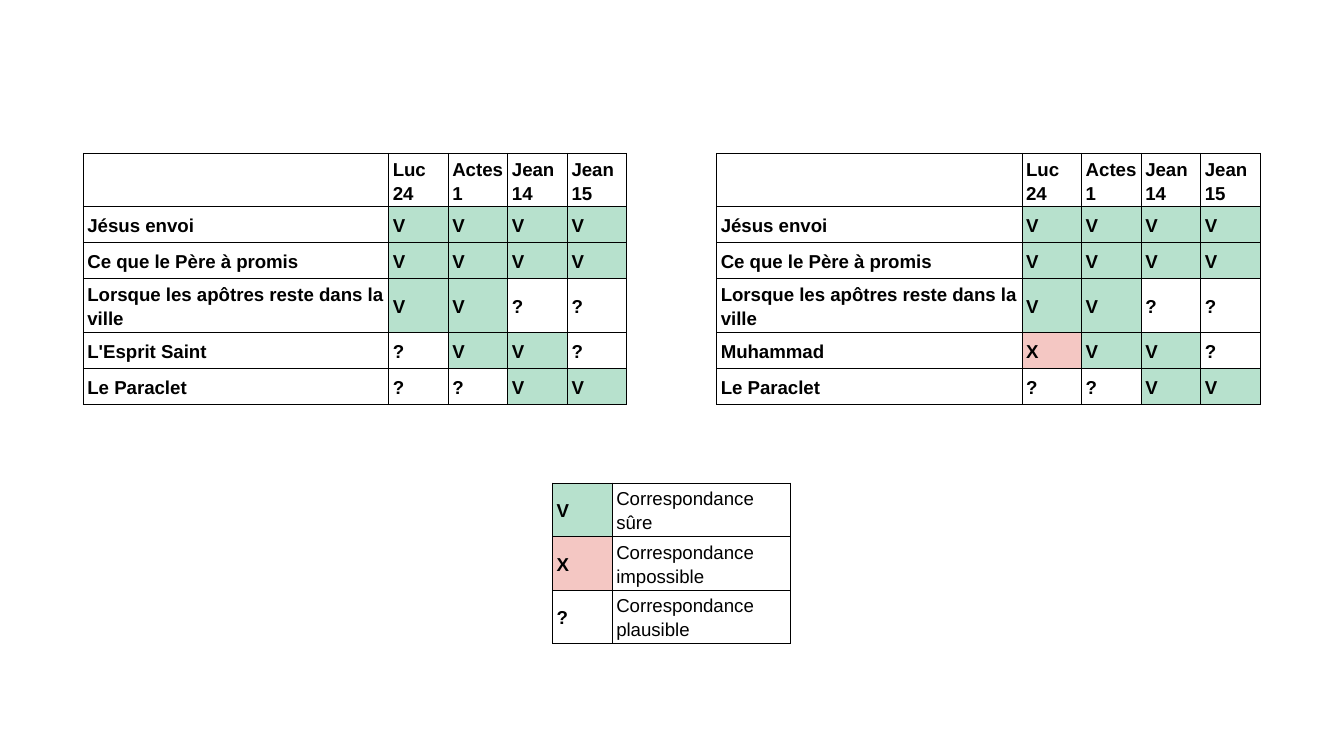
from lxml import etree
from pptx import Presentation
from pptx import util as u
from pptx.dml import color
from pptx.enum import text
from pptx.oxml import ns

FILLS = {"V": "B7E1CD", "X": "F4C7C3"}
HEADER = ["", "Luc 24", "Actes 1", "Jean 14", "Jean 15"]
COMMON = [
    ["Jésus envoi", *"VVVV"],
    ["Ce que le Père à promis", *"VVVV"],
    ["Lorsque les apôtres reste dans la ville", *"VV??"],
]
PARACLET = ["Le Paraclet", *"??VV"]
LEGEND = [
    ["V", "Correspondance sûre", "", ""],
    ["X", "Correspondance impossible", "", ""],
    ["?", "Correspondance plausible", "", ""],
]
MARK_W = 31.94
LABEL_W = 163.6
CELL = {
    "margin_left": u.Pt(2.25), "margin_right": u.Pt(2.25),
    "margin_top": u.Pt(1.5), "margin_bottom": u.Pt(1.5),
    "vertical_anchor": text.MSO_ANCHOR.MIDDLE,
}


def rgb(value):
    return color.RGBColor.from_string(value)


def add_grid(s, left, top, widths, heights, rows):
    frame = s.shapes.add_table(len(rows), len(widths), u.Pt(left), u.Pt(top),
                               u.Pt(sum(widths)), u.Pt(sum(heights)))
    tbl = frame.table
    tbl.first_row = tbl.horz_banding = False
    for col, width in zip(tbl.columns, widths):
        col.width = u.Pt(width)
    for row, height, values in zip(tbl.rows, heights, rows):
        row.height = u.Pt(height)
        for cell, value in zip(row.cells, values):
            for name, setting in CELL.items():
                setattr(cell, name, setting)
            tcPr = cell._tc.get_or_add_tcPr()
            for side in "LRTB":
                ln = etree.SubElement(tcPr, ns.qn("a:ln" + side), w=str(u.Pt(0.6)))
                fill = etree.SubElement(ln, ns.qn("a:solidFill"))
                etree.SubElement(fill, ns.qn("a:srgbClr"), val="000000")
            if value in FILLS:
                cell.fill.solid()
                cell.fill.fore_color.rgb = rgb(FILLS[value])
            else:
                cell.fill.background()
            if value:
                p = cell.text_frame.paragraphs[0]
                p.line_spacing = 1.15
                r = p.add_run()
                r.text = value
                font = {"name": "Arial", "size": u.Pt(10), "bold": True}
                for name, setting in font.items():
                    setattr(r.font, name, setting)
                r.font.color.rgb = rgb("000000")
    return tbl


prs = Presentation()
prs.slide_width, prs.slide_height = u.Pt(720), u.Pt(405)
s = prs.slides.add_slide(prs.slide_layouts[6])

legend = add_grid(s, 296, 258.8, [MARK_W] * 4, [19.3, 25.2, 25.2], LEGEND)
for i in range(len(LEGEND)):
    cell = legend.cell(i, 1)
    cell.merge(legend.cell(i, 3))
    cell.vertical_anchor = text.MSO_ANCHOR.BOTTOM
    cell.text_frame.paragraphs[0].runs[0].font.bold = False

comparisons = [
    (44.6, 25.2, ["L'Esprit Saint", *"?VV?"]),
    (383.9, 15.1, ["Muhammad", *"XVV?"]),
]
for left, header_h, candidate in comparisons:
    add_grid(s, left, 82.2, [LABEL_W] + [MARK_W] * 4, [header_h] + [19.3] * 5,
             [HEADER, *COMMON, candidate, PARACLET])

prs.save("out.pptx")
